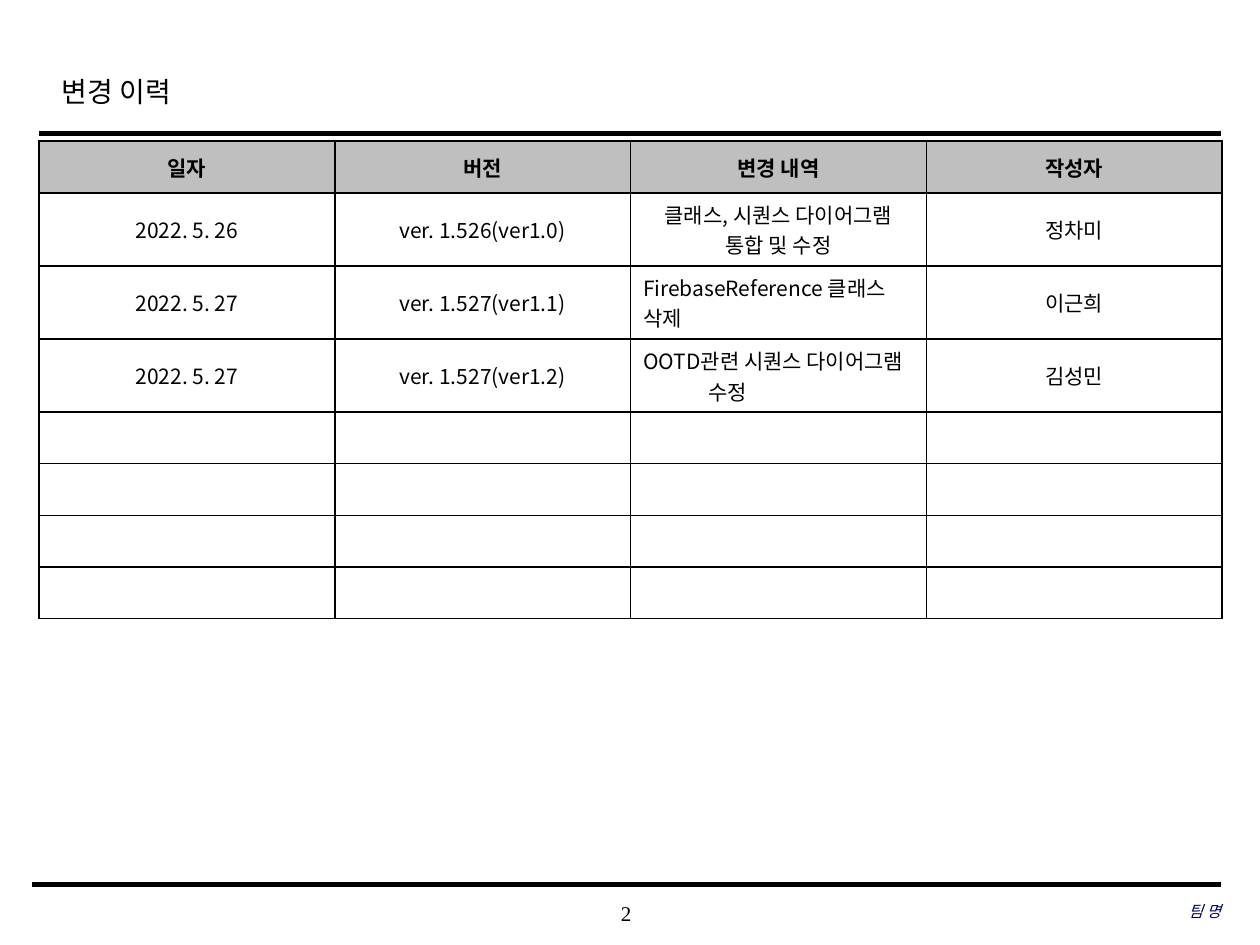
import lxml.etree
import pptx
import pptx.dml.color
import pptx.enum.shapes
import pptx.enum.text
import pptx.oxml.ns
import pptx.util

Inches = pptx.util.Inches
Pt = pptx.util.Pt
RGBColor = pptx.dml.color.RGBColor
Align = pptx.enum.text.PP_ALIGN
Anchor = pptx.enum.text.MSO_ANCHOR
qn = pptx.oxml.ns.qn

BLACK = RGBColor(0x00, 0x00, 0x00)
WHITE = RGBColor(0xFF, 0xFF, 0xFF)
GREY = RGBColor(0xBF, 0xBF, 0xBF)
NAVY = RGBColor(0x00, 0x00, 0x66)

SERIF = "Times New Roman"
KOREAN = "Noto Sans CJK KR"

HEADERS = ["일자", "버전", "변경 내역", "작성자"]
CHANGES = [
    ["2022. 5. 26", "ver. 1.526(ver1.0)", "클래스, 시퀀스 다이어그램 통합 및 수정", "정차미"],
    ["2022. 5. 27", "ver. 1.527(ver1.1)", "FirebaseReference 클래스 삭제", "이근희"],
    ["2022. 5. 27", "ver. 1.527(ver1.2)", "OOTD관련 시퀀스 다이어그램 수정", "김성민"],
]
EMPTY_ROWS = 4
DETAIL_COLUMN = 2
ONE_LINE_HEIGHT = 0.41
TWO_LINE_HEIGHT = 0.58


def write_text(frame, text, *, size=12, font=SERIF, color=BLACK, bold=False,
               italic=False, align=Align.LEFT, spacing=None):
    paragraph = frame.paragraphs[0]
    paragraph.alignment = align
    if spacing:
        paragraph.line_spacing = spacing
    run = paragraph.add_run()
    run.text = text
    run.font.size = Pt(size)
    run.font.name = font
    run.font.bold = bold
    run.font.italic = italic
    run.font.color.rgb = color
    east_asian = lxml.etree.Element(qn("a:ea"), typeface=KOREAN)
    run.font._element.find(qn("a:latin")).addnext(east_asian)
    return paragraph


def set_hanging_indent(paragraph, indent):
    properties = paragraph._p.get_or_add_pPr()
    properties.set("marL", str(indent))
    properties.set("indent", str(-indent))


def set_borders(cell, color=BLACK, width=1):
    properties = cell._tc.get_or_add_tcPr()
    for position, side in enumerate(("lnL", "lnR", "lnT", "lnB")):
        line = lxml.etree.Element(qn(f"a:{side}"), w=str(Pt(width)))
        fill = lxml.etree.SubElement(line, qn("a:solidFill"))
        lxml.etree.SubElement(fill, qn("a:srgbClr"), val=str(color))
        properties.insert(position, line)


class SlideBuilder:
    """Holds the current slide and the shared look of its elements."""

    def __init__(self, presentation):
        self.slide = presentation.slides.add_slide(presentation.slide_layouts[5])

    def title(self, text, left, top, width, height):
        title = self.slide.shapes.title
        title.left, title.top = Inches(left), Inches(top)
        title.width, title.height = Inches(width), Inches(height)
        title.text_frame.vertical_anchor = Anchor.TOP
        write_text(title.text_frame, text, size=16, spacing=1.2)

    def rule(self, left, right, y, width):
        line = self.slide.shapes.add_connector(
            pptx.enum.shapes.MSO_CONNECTOR.STRAIGHT,
            Inches(left), Inches(y), Inches(right), Inches(y))
        line.line.color.rgb = BLACK
        line.line.width = Pt(width)
        lxml.etree.SubElement(line._element.spPr, qn("a:effectLst"))

    def label(self, text, left, top, width, height, **style):
        box = self.slide.shapes.add_textbox(
            Inches(left), Inches(top), Inches(width), Inches(height))
        frame = box.text_frame
        frame.word_wrap = True
        frame.vertical_anchor = Anchor.MIDDLE
        frame.margin_left = frame.margin_right = 0
        frame.margin_top = frame.margin_bottom = 0
        write_text(frame, text, **style)

    def table(self, rows, left, top, width, row_heights):
        """Draws a bordered table with a grey header and returns its paragraphs by row."""
        table = self.slide.shapes.add_table(
            len(rows), len(rows[0]), Inches(left), Inches(top),
            Inches(width), Inches(sum(row_heights))).table
        paragraphs = []
        for row_index, (row, height) in enumerate(zip(rows, row_heights)):
            table.rows[row_index].height = Inches(height)
            is_header = row_index == 0
            paragraphs.append([])
            for column_index, text in enumerate(row):
                cell = table.cell(row_index, column_index)
                cell.vertical_anchor = Anchor.MIDDLE
                cell.fill.solid()
                cell.fill.fore_color.rgb = GREY if is_header else WHITE
                set_borders(cell)
                paragraphs[-1].append(write_text(
                    cell.text_frame, text, font=KOREAN, bold=is_header,
                    align=Align.CENTER))
        return paragraphs


def main():
    presentation = pptx.Presentation()
    presentation.slide_width = Inches(10)
    presentation.slide_height = Inches(7.5)

    builder = SlideBuilder(presentation)
    builder.label("2", 3.93, 7.08, 2.08, 0.33, align=Align.CENTER)
    builder.rule(0.31, 9.69, 1.06, 2.5)
    builder.rule(0.25, 9.69, 7.02, 3)
    builder.title("변경 이력", 0.39, 0.49, 7.55, 0.5)
    builder.label("팀 명", 6.63, 7.07, 3.06, 0.33,
                  size=9, color=NAVY, italic=True, align=Align.RIGHT)

    empty_rows = [[""] * len(HEADERS)] * EMPTY_ROWS
    row_heights = [ONE_LINE_HEIGHT,
                   *[TWO_LINE_HEIGHT] * len(CHANGES),
                   *[ONE_LINE_HEIGHT] * EMPTY_ROWS]
    paragraphs = builder.table([HEADERS, *CHANGES, *empty_rows],
                               0.31, 1.12, 9.39, row_heights)
    for row in paragraphs[2:4]:
        row[DETAIL_COLUMN].alignment = Align.LEFT
    set_hanging_indent(paragraphs[3][DETAIL_COLUMN], Inches(0.52))

    presentation.save("out.pptx")


if __name__ == "__main__":
    main()
